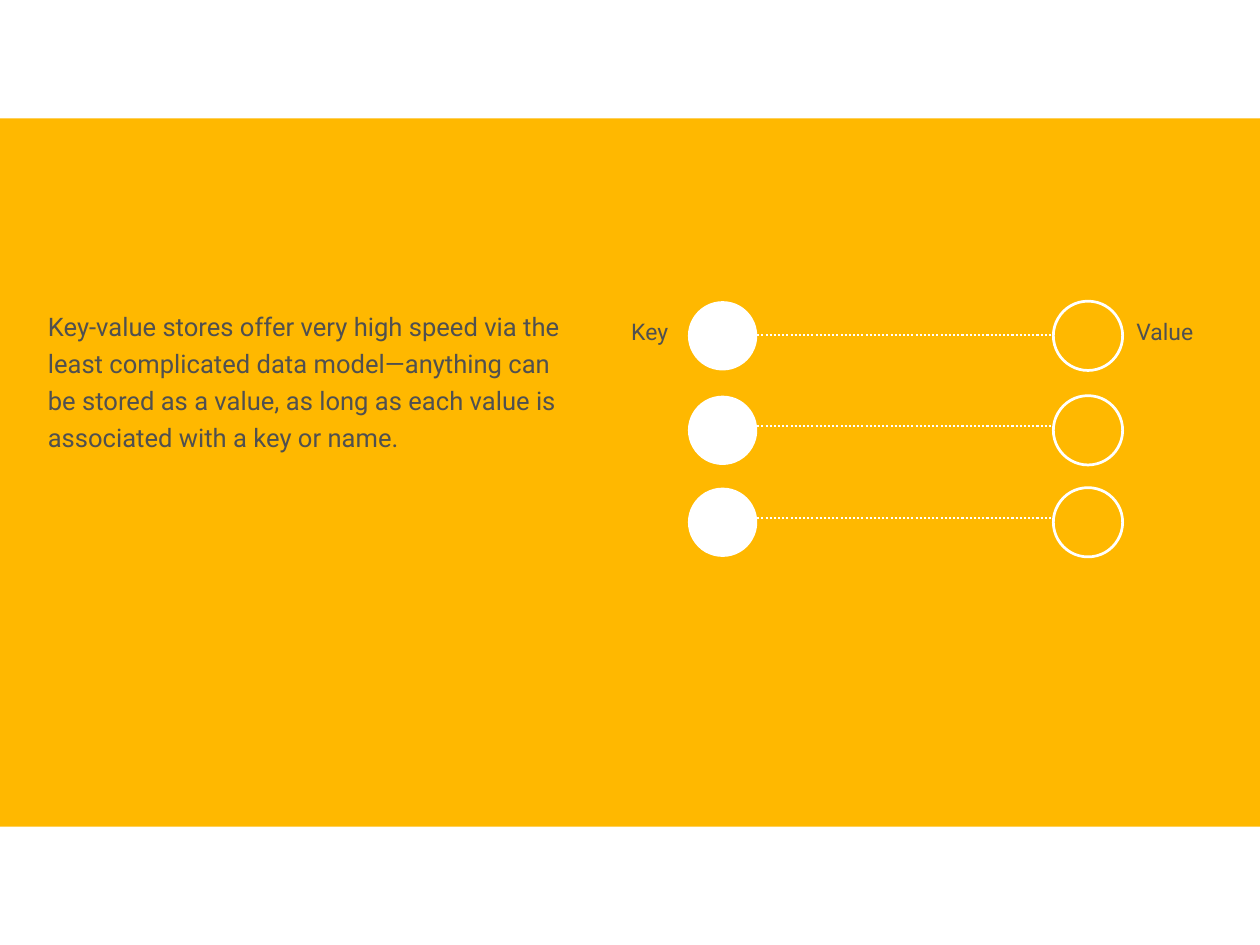
from lxml import etree
from pptx import Presentation
from pptx.dml.color import RGBColor
from pptx.enum.dml import MSO_LINE
from pptx.enum.shapes import MSO_CONNECTOR, MSO_SHAPE
from pptx.enum.text import MSO_ANCHOR
from pptx.oxml.ns import qn
from pptx.util import Inches, Pt

OVAL, RECTANGLE = MSO_SHAPE.OVAL, MSO_SHAPE.RECTANGLE
STRAIGHT = MSO_CONNECTOR.STRAIGHT
DOTTED = MSO_LINE.ROUND_DOT
TOP, MIDDLE = MSO_ANCHOR.TOP, MSO_ANCHOR.MIDDLE

COLORS = {"panel": "FFB800", "text": "505050", "mark": "FFFFFF"}
FONT = "Roboto"
DESCRIPTION = (
    "Key-value stores offer very high speed via the least complicated data "
    "model—anything can be stored as a value, as long as each value is "
    "associated with a key or name."
)
CIRCLE_SIZE = 0.55
PAIR_TOPS = (0, 0.75, 1.48)
LINK_OFFSETS = (0.27, 0.24, 0.24)


def color(name):
    return RGBColor.from_string(COLORS[name])


def add_shape(slide, kind, box, fill=None, line=None, width=1.56):
    shape = slide.shapes.add_shape(kind, *map(Inches, box))
    shape.shadow.inherit = False
    if fill:
        shape.fill.solid()
        shape.fill.fore_color.rgb = color(fill)
    else:
        shape.fill.background()
    if line:
        shape.line.color.rgb = color(line)
        shape.line.width = Pt(width)
    else:
        shape.line.fill.background()


def add_text(slide, box, text, size, anchor=TOP, wrap=False, line_spacing=1.0):
    frame = slide.shapes.add_textbox(*map(Inches, box)).text_frame
    frame_format = {
        "margin_left": Inches(0.01), "margin_right": 0,
        "margin_top": Inches(0.01), "margin_bottom": 0,
        "word_wrap": wrap, "vertical_anchor": anchor,
    }
    for name, value in frame_format.items():
        setattr(frame, name, value)
    paragraph = frame.paragraphs[0]
    paragraph.line_spacing = line_spacing
    run = paragraph.add_run()
    run.text = text
    for name, value in {"name": FONT, "size": Pt(size)}.items():
        setattr(run.font, name, value)
    run.font.color.rgb = color("text")


def add_link(slide, left, right, y):
    """Draw a dotted horizontal line from a key to its value."""
    link = slide.shapes.add_connector(
        STRAIGHT, Inches(left), Inches(y), Inches(right), Inches(y))
    link.line.color.rgb = color("mark")
    link.line.width = Pt(1.2)
    link.line.dash_style = DOTTED
    etree.SubElement(link._element.spPr, qn("a:effectLst"))


def add_key_value_diagram(slide, left, top, width):
    key_left = left + 0.46
    value_left = left + width - 1.12
    for pair_top, link_offset in zip(PAIR_TOPS, LINK_OFFSETS):
        y = top + pair_top
        add_link(slide, key_left + CIRCLE_SIZE, value_left, y + link_offset)
        add_shape(slide, OVAL, (key_left, y, CIRCLE_SIZE, CIRCLE_SIZE), fill="mark")
        add_shape(slide, OVAL, (value_left, y, CIRCLE_SIZE, CIRCLE_SIZE), line="mark")
    add_text(slide, (left, top + 0.12, 0.31, 0.23), "Key", 13.1)
    add_text(slide, (left + width - 0.47, top + 0.12, 0.47, 0.23), "Value", 13.1)


def main():
    presentation = Presentation()
    presentation.slide_width, presentation.slide_height = Inches(10), Inches(7.5)
    slide = presentation.slides.add_slide(presentation.slide_layouts[6])
    add_shape(slide, RECTANGLE, (0, 0.94, 10, 5.62), fill="panel")
    add_text(slide, (0.37, 2.4, 4.12, 1.2), DESCRIPTION, 14.6,
             anchor=MIDDLE, wrap=True, line_spacing=1.21)
    add_key_value_diagram(slide, 5, 2.39, 4.48)
    presentation.save("out.pptx")


if __name__ == "__main__":
    main()
